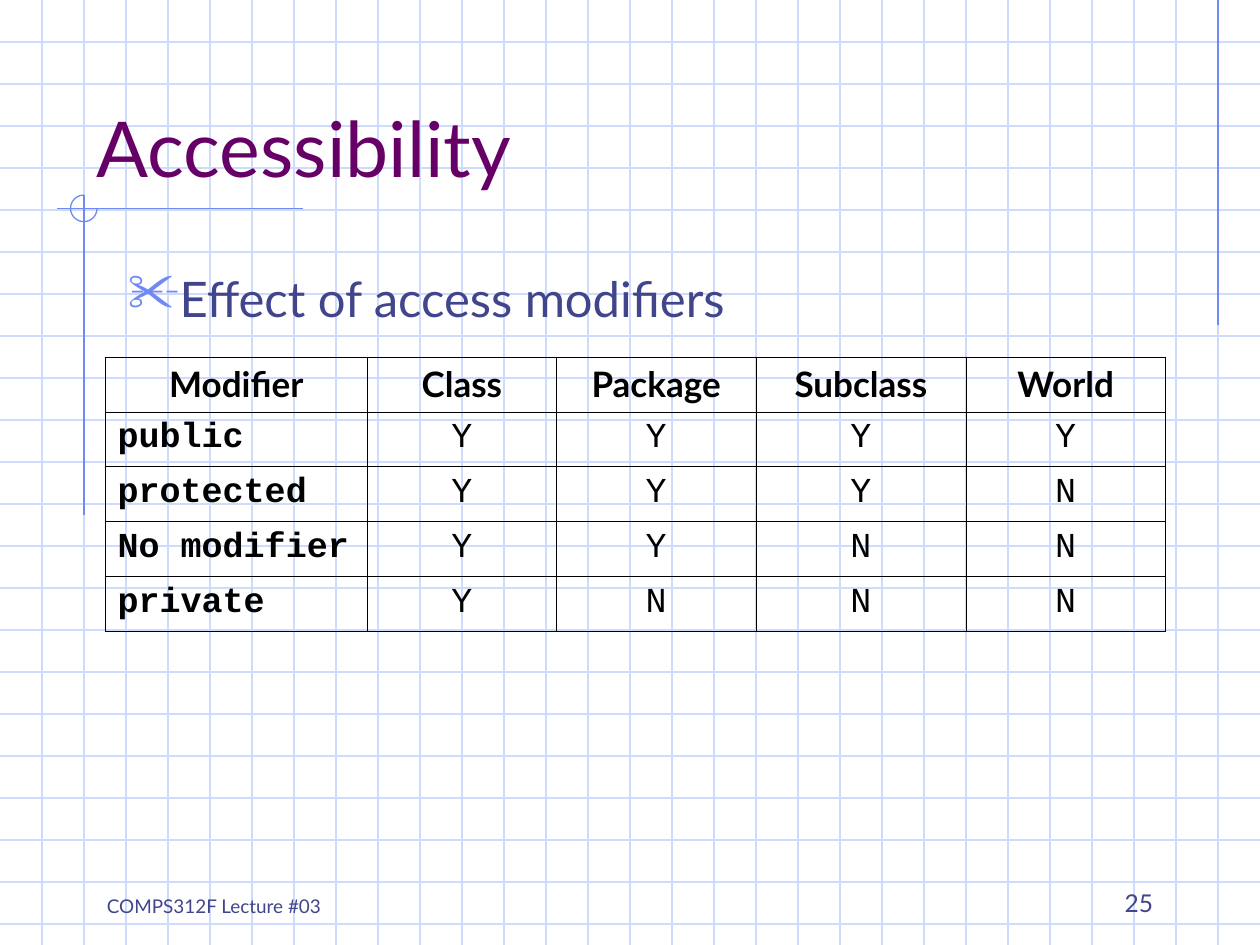
import pptx
import pptx.dml.color
import pptx.enum.shapes
import pptx.enum.text
import pptx.oxml
import pptx.oxml.ns
import pptx.util

Pt = pptx.util.Pt
RGB = pptx.dml.color.RGBColor
Align = pptx.enum.text.PP_ALIGN
Anchor = pptx.enum.text.MSO_ANCHOR
Shape = pptx.enum.shapes.MSO_SHAPE

PALE = RGB(0xCF, 0xDB, 0xFD)
BLUE = RGB(0x6F, 0x89, 0xF7)
NAVY = RGB(0x40, 0x45, 0x8C)
PLUM = RGB(0x66, 0x00, 0x66)
BLACK = RGB(0, 0, 0)

WIDTH, HEIGHT, STEP = 720, 540, 24
HANG = 27
COLS = [150, 108, 114, 120, 114]
HEAD = ["Modifier", "Class", "Package", "Subclass", "World"]
ROWS = [("public", "YYYY"), ("protected", "YYYN"),
        ("No modifier", "YYNN"), ("private", "YNNN")]


def node(tag, **attrs):
    item = pptx.oxml.parse_xml(f"<{tag} {pptx.oxml.ns.nsdecls('a')}/>")
    for name, value in attrs.items():
        item.set(name, str(value))
    return item


class Deck:
    font = "Lato"
    mono = "Courier New"
    thin = 0.75
    edge = 0.45

    def __init__(self):
        self.file = pptx.Presentation()
        self.file.slide_width = Pt(WIDTH)
        self.file.slide_height = Pt(HEIGHT)
        self.slide = self.file.slides.add_slide(self.file.slide_layouts[5])
        self.shapes = self.slide.shapes

    def run(self, para, text, size, color, font=None, bold=False):
        run = para.add_run()
        run.text = text
        run.font.size = Pt(size)
        run.font.name = font or self.font
        run.font.bold = bold
        run.font.color.rgb = color

    def hang(self, para):
        """Indent the paragraph with a hanging first line."""
        props = para._p.get_or_add_pPr()
        props.set("marL", str(Pt(HANG)))
        props.set("indent", str(-Pt(HANG)))
        return props

    def line(self, x1, y1, x2, y2, color):
        kind = pptx.enum.shapes.MSO_CONNECTOR.STRAIGHT
        rule = self.shapes.add_connector(kind, Pt(x1), Pt(y1), Pt(x2), Pt(y2))
        rule.line.color.rgb = color
        rule.line.width = Pt(self.thin)
        rule._element.spPr.append(node("a:effectLst"))

    def grid(self):
        for y in range(STEP, HEIGHT, STEP):
            self.line(0, y, WIDTH, y, PALE)
        for x in range(STEP, WIDTH, STEP):
            self.line(x, 0, x, HEIGHT, PALE)

    def arc(self, x, y, size, start, end):
        """Draw a clockwise arc between two angles in degrees."""
        arc = self.shapes.add_shape(Shape.ARC, Pt(x), Pt(y), Pt(size), Pt(size))
        # Adjustments are in units of 100000; one degree is 60000.
        arc.adjustments[0] = start * 0.6
        arc.adjustments[1] = end * 0.6
        arc.shadow.inherit = False
        arc.fill.background()
        arc.line.color.rgb = BLUE
        arc.line.width = Pt(self.thin)

    def title(self, text, x, y, w, h):
        box = self.shapes.title
        box.left, box.top, box.width, box.height = Pt(x), Pt(y), Pt(w), Pt(h)
        self.shapes._spTree.append(box._element)  # bring to the front
        frame = box.text_frame
        frame.auto_size = pptx.enum.text.MSO_AUTO_SIZE.NONE
        frame.vertical_anchor = Anchor.BOTTOM
        para = frame.paragraphs[0]
        para.alignment = Align.LEFT
        self.run(para, text, 44, PLUM)

    def text(self, text, x, y, w, h, size, align=Align.LEFT, anchor=Anchor.BOTTOM):
        box = self.shapes.add_textbox(Pt(x), Pt(y), Pt(w), Pt(h))
        box.text_frame.word_wrap = True
        box.text_frame.vertical_anchor = anchor
        para = box.text_frame.paragraphs[0]
        para.alignment = align
        self.run(para, text, size, NAVY)
        return para

    def bullet(self, text, x, y, w, h):
        para = self.text(text, x, y, w, h, 28, anchor=Anchor.TOP)
        para.space_before = Pt(7)
        props = self.hang(para)
        tint = node("a:buClr")
        tint.append(node("a:srgbClr", val=BLUE))
        props.append(tint)
        props.append(node("a:buSzPct", val=110000))
        props.append(node("a:buChar", char="✂"))

    def border(self, cell):
        props = cell._tc.get_or_add_tcPr()
        for side in "LRTB":
            edge = node(f"a:ln{side}", w=Pt(self.edge))
            fill = node("a:solidFill")
            fill.append(node("a:srgbClr", val=BLACK))
            edge.append(fill)
            props.append(edge)

    def cell(self, cell, text, font, bold, align):
        self.border(cell)
        cell.fill.background()
        para = cell.text_frame.paragraphs[0]
        self.hang(para)
        para.alignment = align
        self.run(para, text, 20, BLACK, font, bold)

    def table(self, x, y, high):
        count = len(ROWS) + 1
        frame = self.shapes.add_table(count, len(COLS), Pt(x), Pt(y),
                                      Pt(sum(COLS)), Pt(high * count))
        table = frame.table
        table.first_row = table.horz_banding = False
        for col, wide in zip(table.columns, COLS):
            col.width = Pt(wide)
        for row in table.rows:
            row.height = Pt(high)
        for r, texts in enumerate([HEAD] + [[name, *marks] for name, marks in ROWS]):
            for c, text in enumerate(texts):
                font = self.mono if r else self.font
                align = Align.LEFT if r and c == 0 else Align.CENTER
                self.cell(table.cell(r, c), text, font, r == 0 or c == 0, align)


def main():
    deck = Deck()
    deck.grid()
    deck.line(696, 0, 696, 186, BLUE)
    deck.line(173, 119.25, 32.5, 119.25, BLUE)
    deck.line(48, 111.5, 48, 294.5, BLUE)
    deck.arc(40.3, 111.5, 15.2, 0, 270)
    deck.text("COMPS312F Lecture #03", 54, 492, 150, 36, 10.8)
    deck.text("25", 516, 492, 150, 36, 14, Align.RIGHT)
    deck.title("Accessibility", 48, 24, 612, 90)
    deck.bullet("Effect of access modifiers", 66, 150, 612, 324)
    deck.table(60, 204, 31.4)
    deck.file.save("out.pptx")


if __name__ == "__main__":
    main()
